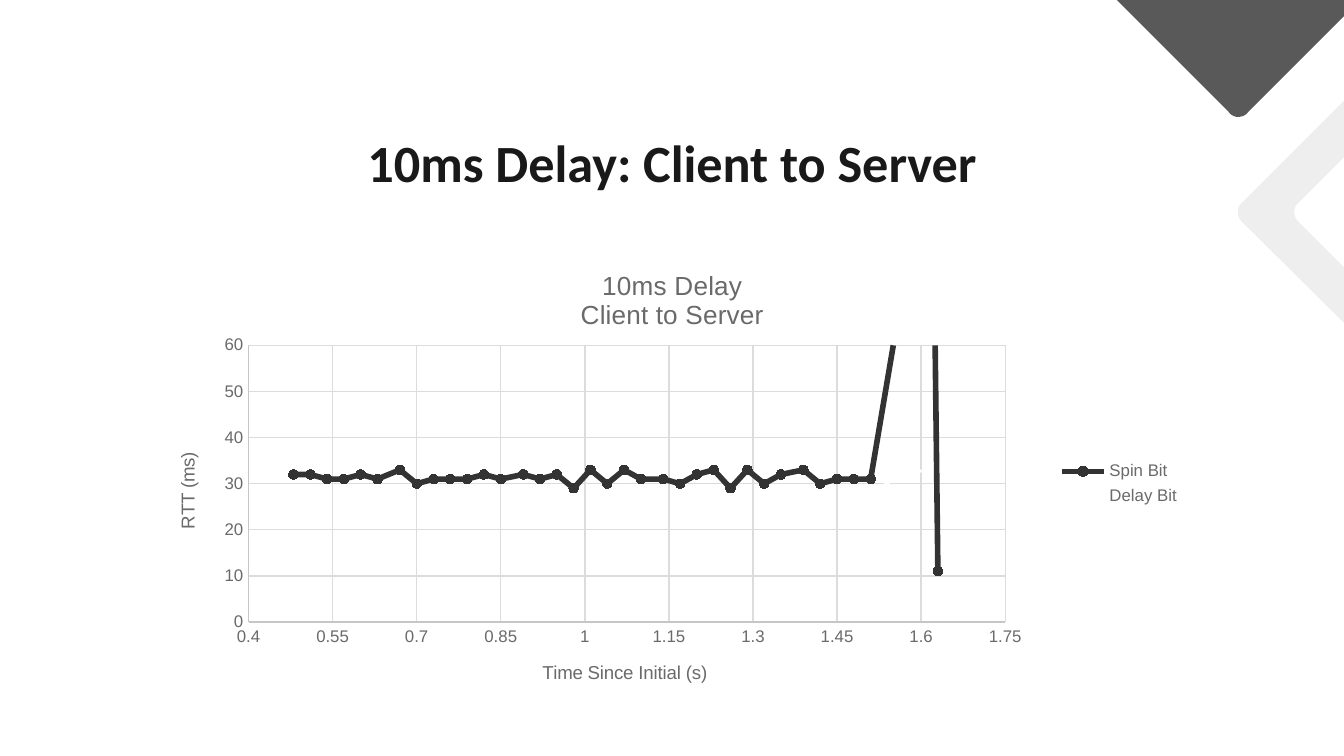
from dataclasses import dataclass

import lxml.etree
import pptx
import pptx.chart.data
import pptx.dml.color
import pptx.enum.chart
import pptx.enum.text
import pptx.oxml.ns
import pptx.util

Inches = pptx.util.Inches
Pt = pptx.util.Pt
qn = pptx.oxml.ns.qn


@dataclass(frozen=True)
class Theme:
    heading_font: str = "Calibri"
    body_font: str = "Arial"
    ink: str = "191919"
    muted: str = "6A6A6A"
    axis: str = "C6C6C6"
    grid: str = "DCDCDC"
    dark: str = "595959"
    pale: str = "EEEEEE"
    spin: str = "333333"
    delay: str = "FFFFFF"
    heading_size: float = 28
    chart_title_size: float = 14
    axis_title_size: float = 10
    label_size: float = 9


THEME = Theme()
CHART_WIDTH, CHART_HEIGHT = 7.77, 3.5

# Outlines: a pair is a line to that point, six numbers are a Bézier curve.
DIAMOND = [
    (7.9, -0.45), (7.9, -0.42, 7.91, -0.4, 7.93, -0.38),
    (9.14, 0.83), (9.16, 0.86, 9.19, 0.87, 9.21, 0.87),
    (9.24, 0.87, 9.27, 0.86, 9.29, 0.83),
    (10.5, -0.38), (10.52, -0.4, 10.53, -0.42, 10.53, -0.45),
]
CHEVRON = [
    (9.21, 1.58), (9.21, 1.6, 9.22, 1.63, 9.24, 1.65),
    (10.32, 2.72), (10.35, 2.76, 10.42, 2.76, 10.46, 2.72),
    (10.6, 2.59), (9.66, 1.65), (9.64, 1.63, 9.63, 1.6, 9.63, 1.58),
    (9.63, 1.55, 9.64, 1.53, 9.66, 1.51),
    (10.6, 0.57), (10.46, 0.43), (10.42, 0.4, 10.35, 0.4, 10.32, 0.43),
    (9.24, 1.51), (9.22, 1.53, 9.21, 1.55, 9.21, 1.58),
]

# Both series share these samples; each adds its own first or last points.
SHARED = list(zip(
    [0.51, 0.54, 0.57, 0.6, 0.63, 0.67, 0.7, 0.73, 0.76, 0.79, 0.82,
     0.85, 0.89, 0.92, 0.95, 0.98, 1.01, 1.04, 1.07, 1.1, 1.14, 1.17,
     1.2, 1.23, 1.26, 1.29, 1.32, 1.35, 1.39, 1.42, 1.45, 1.48, 1.51],
    [32, 31, 31, 32, 31, 33, 30, 31, 31, 31, 32,
     31, 32, 31, 32, 29, 33, 30, 33, 31, 31, 30,
     32, 33, 29, 33, 30, 32, 33, 30, 31, 31, 31]))
SPIN_BIT = [(0.48, 32)] + SHARED + [(1.62, 110), (1.63, 11)]
DELAY_BIT = SHARED + [(1.54, 31), (1.57, 32), (1.61, 33)]


def rgb(value):
    return pptx.dml.color.RGBColor.from_string(value)


def flatten(outline, steps=6):
    """Turn an outline with Bézier curves into plain points."""
    points = []
    for part in outline:
        if len(part) == 2:
            points.append(part)
            continue
        x0, y0 = points[-1]
        x1, y1, x2, y2, x3, y3 = part
        for i in range(1, steps + 1):
            t = i / steps
            u = 1 - t
            a, b, c, d = u**3, 3 * u * u * t, 3 * u * t * t, t**3
            points.append((a * x0 + b * x1 + c * x2 + d * x3,
                           a * y0 + b * y1 + c * y2 + d * y3))
    return points


def place(element, **inches):
    """Give a chart part a manual layout, in inches from the chart's corner."""
    for old in element.findall(qn("c:layout")):
        element.remove(old)
    layout = lxml.etree.Element(qn("c:layout"))
    manual = lxml.etree.SubElement(layout, qn("c:manualLayout"))
    if "w" in inches:
        lxml.etree.SubElement(manual, qn("c:layoutTarget")).set("val", "inner")
    for name in ("xMode", "yMode"):
        lxml.etree.SubElement(manual, qn("c:" + name)).set("val", "edge")
    for name, value in inches.items():
        whole = CHART_WIDTH if name in "xw" else CHART_HEIGHT
        part = lxml.etree.SubElement(manual, qn("c:" + name))
        part.set("val", f"{value / whole:.4f}")
    tx = element.find(qn("c:tx"))
    if tx is None:
        element.insert(0, layout)
    else:
        tx.addnext(layout)


class Deck:
    """Holds the theme and the current slide."""

    def __init__(self, prs, theme):
        self.theme = theme
        self.s = prs.slides.add_slide(prs.slide_layouts[5])

    def font(self, font, size, color, name=None, bold=False):
        font.name = name or self.theme.body_font
        font.size = Pt(size)
        font.bold = bold
        font.color.rgb = rgb(color)

    def title(self, text, x, y, w, h):
        sp = self.s.shapes.title
        sp.left, sp.top, sp.width, sp.height = map(Inches, (x, y, w, h))
        tf = sp.text_frame
        tf.text = text
        tf.word_wrap = True
        tf.auto_size = pptx.enum.text.MSO_AUTO_SIZE.SHAPE_TO_FIT_TEXT
        tf.vertical_anchor = pptx.enum.text.MSO_ANCHOR.TOP
        p = tf.paragraphs[0]
        p.alignment = pptx.enum.text.PP_ALIGN.CENTER
        self.font(p.runs[0].font, self.theme.heading_size, self.theme.ink,
                  self.theme.heading_font, True)

    def outline(self, outline, color):
        first, *rest = [(Inches(x), Inches(y)) for x, y in flatten(outline)]
        builder = self.s.shapes.build_freeform(*first)
        builder.add_line_segments(rest, close=True)
        sp = builder.convert_to_shape()
        sp.shadow.inherit = False
        sp.fill.solid()
        sp.fill.fore_color.rgb = rgb(color)
        sp.line.fill.background()

    def chart_text(self, title, text, size, x, y):
        tf = title.text_frame
        tf.text = text
        for p in tf.paragraphs:
            self.font(p.runs[0].font, size, self.theme.muted)
        place(title.element, x=x, y=y)

    def axis(self, axis, low, high, step, title, x, y):
        axis.minimum_scale, axis.maximum_scale = low, high
        axis.major_unit = step
        axis.major_tick_mark = pptx.enum.chart.XL_TICK_MARK.NONE
        axis.minor_tick_mark = pptx.enum.chart.XL_TICK_MARK.NONE
        self.font(axis.tick_labels.font, self.theme.label_size,
                  self.theme.muted)
        axis.has_major_gridlines = True
        for line, color in ((axis.format.line, self.theme.axis),
                            (axis.major_gridlines.format.line,
                             self.theme.grid)):
            line.color.rgb = rgb(color)
            line.width = Pt(0.75)
        self.chart_text(axis.axis_title, title, self.theme.axis_title_size,
                        x, y)

    def series(self, series, color, width):
        series.smooth = False
        series.format.line.color.rgb = rgb(color)
        series.format.line.width = Pt(width)
        marker = series.marker
        marker.style = pptx.enum.chart.XL_MARKER_STYLE.CIRCLE
        marker.size = 5
        marker.format.fill.solid()
        marker.format.fill.fore_color.rgb = rgb(color)
        marker.format.line.color.rgb = rgb(color)

    def scatter(self, title, series, x, y):
        data = pptx.chart.data.XyChartData()
        for name, points, _, _ in series:
            xy = data.add_series(name)
            for point in points:
                xy.add_data_point(*point)
        chart = self.s.shapes.add_chart(
            pptx.enum.chart.XL_CHART_TYPE.XY_SCATTER_LINES,
            *map(Inches, (x, y, CHART_WIDTH, CHART_HEIGHT)), data).chart
        self.font(chart.font, 10, self.theme.ink)
        chart.has_title = True
        self.chart_text(chart.chart_title, title,
                        self.theme.chart_title_size, 3.18, 0.12)
        chart.has_legend = True
        chart.legend.position = pptx.enum.chart.XL_LEGEND_POSITION.RIGHT
        chart.legend.include_in_layout = False
        self.font(chart.legend.font, self.theme.label_size, self.theme.muted)
        plot = chart.plots[0]
        plot.vary_by_categories = False
        for item, (_, _, color, width) in zip(plot.series, series):
            self.series(item, color, width)
        place(chart.element.find(".//" + qn("c:plotArea")),
              x=0.74, y=0.72, w=5.63, h=2.06)
        self.axis(chart.category_axis, 0.4, 1.75, 0.15,
                  "Time Since Initial (s)", 2.9, 3.04)
        self.axis(chart.value_axis, 0, 60, 10, "RTT (ms)", 0.17, 1.49)
        body = chart.value_axis.axis_title.element.find(".//" + qn("a:bodyPr"))
        body.set("rot", "-5400000")


def main():
    prs = pptx.Presentation()
    prs.slide_width, prs.slide_height = Inches(10), Inches(5.625)
    deck = Deck(prs, THEME)
    deck.outline(DIAMOND, THEME.dark)
    deck.outline(CHEVRON, THEME.pale)
    deck.title("10ms Delay: Client to Server", 0.92, 0.92, 8.16, 0.57)
    deck.scatter("10ms Delay\nClient to Server",
                 [("Spin Bit", SPIN_BIT, THEME.spin, 3),
                  ("Delay Bit", DELAY_BIT, THEME.delay, 1.5)], 1.11, 1.85)
    prs.save("out.pptx")


if __name__ == "__main__":
    main()
